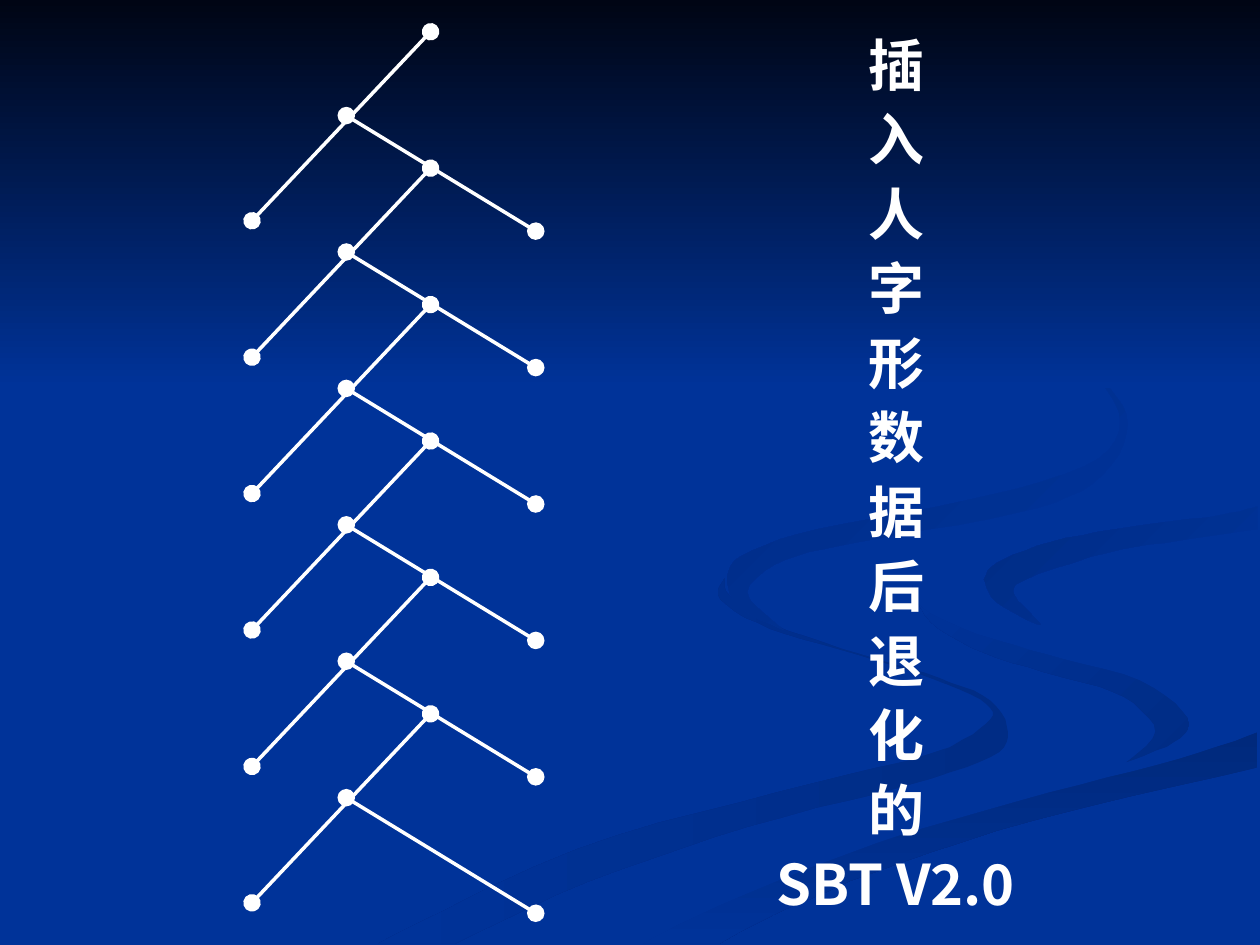
from dataclasses import dataclass
from itertools import chain

from lxml import etree
from pptx import Presentation
from pptx.dml.color import RGBColor
from pptx.enum.shapes import MSO_CONNECTOR, MSO_SHAPE
from pptx.enum.text import MSO_AUTO_SIZE, PP_ALIGN
from pptx.oxml.ns import qn
from pptx.util import Cm, Pt

STRAIGHT = MSO_CONNECTOR.STRAIGHT
RECTANGLE = MSO_SHAPE.RECTANGLE
CENTER = PP_ALIGN.CENTER
GROW = MSO_AUTO_SIZE.SHAPE_TO_FIT_TEXT

BLANK_LAYOUT = 6
SLIDE_WIDTH, SLIDE_HEIGHT = 25.4, 19.05
BAND_HEIGHT = 7.82
RIBBON_UNIT = Cm(0.0254)
CURVE_STEPS = 5

LEVELS = 6
LEVEL_STEP = 2.75
TREE_TOP = 0.64
LEFT_LEAF, FORK, SPINE, RIGHT_LEAF = 5.08, 6.98, 8.68, 10.8
FORK_DROP, LEFT_DROP, RIGHT_DROP = 1.69, 3.81, 4.02
CAPTION = [*"插入人字形数据后退化的", "SBT V2.0"]


@dataclass(frozen=True)
class Theme:
    background: str = "003399"
    night: str = "000514"
    shade: str = "002C85"
    deep_shade: str = "00297C"
    foreground: str = "FFFFFF"
    font: str = "Noto Sans CJK KR"
    caption_size: int = 32
    space_before: int = 8
    line_width: int = 2


@dataclass(frozen=True)
class Ribbon:
    near_edges: list
    far_edges: list
    colors: tuple
    angle: int = 0

    def outline(self):
        near = chain.from_iterable(map(smooth, self.near_edges))
        far = chain.from_iterable(map(smooth, self.far_edges))
        return [*near, *reversed(list(far))]


def spline(before, start, end, after, t):
    return (
        2 * start
        + (end - before) * t
        + (2 * before - 5 * start + 4 * end - after) * t**2
        + (3 * start - before - 3 * end + after) * t**3
    ) / 2


def smooth(knots):
    padded = [knots[0], *knots, knots[-1]]
    points = [
        tuple(round(spline(*values, step / CURVE_STEPS)) for values in zip(*window))
        for window in zip(padded, padded[1:], padded[2:], padded[3:])
        for step in range(CURVE_STEPS)
    ]
    return [*points, knots[-1]]


def make_ribbons(theme):
    wave_left = [(575, 459), (572, 476), (611, 499), (679, 519), (741, 539), (783, 559),
                 (783, 574), (739, 598), (616, 629), (458, 674), (300, 749)]
    wave_right = [(575, 459), (579, 473), (614, 496), (682, 519), (745, 538), (786, 556),
                  (800, 581), (786, 601), (721, 623), (594, 656), (466, 700), (361, 749)]
    fold_left = [(724, 464), (739, 494), (781, 518), (838, 536), (892, 553), (917, 581),
                 (894, 605)]
    fold_right = [(724, 464), (733, 483), (775, 503), (830, 519), (905, 540), (943, 570),
                  (932, 589), (894, 605)]
    stream_tail = [(894, 605), (743, 643), (663, 668), (573, 703), (477, 749)]
    stream_top = [(998, 581), (936, 602), (832, 629), (696, 669), (570, 719), (510, 749)]
    stream_bottom = [(998, 609), (821, 651), (695, 692), (614, 726), (571, 749)]
    inlet = [(781, 460), (804, 485), (866, 509), (941, 527), (998, 538)]
    crest_top = [(724, 464), (727, 454), (755, 432), (830, 415), (920, 401), (998, 387)]
    crest_middle = [(998, 402), (968, 409), (899, 418), (835, 430), (791, 447), (781, 460)]
    crest_bottom = [(998, 420), (936, 429), (878, 439), (816, 459), (805, 472), (826, 496),
                    (791, 478), (781, 460)]
    hook_outer = [(762, 233), (821, 261), (880, 307), (894, 344), (867, 384), (807, 407),
                  (683, 430), (624, 444), (593, 470), (622, 500)]
    hook_inner = [(762, 233), (805, 254), (862, 292), (889, 335), (861, 370), (763, 398),
                  (649, 420), (589, 441), (577, 462), (590, 484), (622, 500)]

    fade_out = (theme.shade, theme.background)
    fade_in = (theme.background, theme.shade)
    deep_fade = (theme.deep_shade, theme.background)
    plain = (theme.background,)
    return [
        Ribbon([wave_left], [wave_right], fade_out, 180),
        Ribbon([fold_left], [fold_right], fade_out, 225),
        Ribbon([stream_top], [stream_bottom], deep_fade, 90),
        Ribbon([fold_right, stream_tail], [crest_top, crest_middle, inlet, stream_top], plain),
        Ribbon([crest_middle], [crest_bottom], fade_in, 225),
        Ribbon([hook_outer], [hook_inner], fade_in, 225),
    ]


class SlideBuilder:
    def __init__(self, slide, theme):
        self.slide = slide
        self.theme = theme

    def background(self):
        fill = self.slide.background.fill
        fill.solid()
        fill.fore_color.rgb = RGBColor.from_string(self.theme.background)

    def paint(self, shape, colors, clockwise_angle):
        shape.shadow.inherit = False
        shape.line.fill.background()
        if len(colors) == 1:
            shape.fill.solid()
            shape.fill.fore_color.rgb = RGBColor.from_string(colors[0])
            return
        shape.fill.gradient()
        shape.fill.gradient_angle = 360 - clockwise_angle
        for stop, color in zip(shape.fill.gradient_stops, colors):
            stop.color.rgb = RGBColor.from_string(color)

    def ribbon(self, ribbon):
        start, *rest = ribbon.outline()
        freeform = self.slide.shapes.build_freeform(*start, scale=RIBBON_UNIT)
        freeform.add_line_segments(rest, close=True)
        self.paint(freeform.convert_to_shape(), ribbon.colors, ribbon.angle)

    def band(self, width, height):
        shape = self.slide.shapes.add_shape(RECTANGLE, 0, 0, Cm(width), Cm(height))
        self.paint(shape, (self.theme.night, self.theme.background), 90)

    def branch(self, start, end):
        ends = [Cm(value) for value in (*start, *end)]
        connector = self.slide.shapes.add_connector(STRAIGHT, *ends)
        connector.line.width = Pt(self.theme.line_width)
        connector.line.color.rgb = RGBColor.from_string(self.theme.foreground)
        properties = connector._element.spPr
        line = properties.find(qn("a:ln"))
        for tag in ("a:headEnd", "a:tailEnd"):
            etree.SubElement(line, qn(tag), type="oval", w="lg", len="lg")
        etree.SubElement(properties, qn("a:effectLst"))

    def caption(self, lines, left, top, width, height):
        box = self.slide.shapes.add_textbox(Cm(left), Cm(top), Cm(width), Cm(height))
        frame = box.text_frame
        frame.word_wrap = False
        frame.auto_size = GROW
        frame.text = "\n".join(lines)
        for paragraph in frame.paragraphs:
            paragraph.alignment = CENTER
            paragraph.line_spacing = 0.9
            paragraph.space_before = Pt(self.theme.space_before)
            font = paragraph.font
            font.size = Pt(self.theme.caption_size)
            font.bold = True
            font.name = self.theme.font
            font.color.rgb = RGBColor.from_string(self.theme.foreground)
            etree.SubElement(font._element, qn("a:ea"), typeface=self.theme.font)


def main():
    theme = Theme()
    presentation = Presentation()
    presentation.slide_width = Cm(SLIDE_WIDTH)
    presentation.slide_height = Cm(SLIDE_HEIGHT)
    slide = presentation.slides.add_slide(presentation.slide_layouts[BLANK_LAYOUT])
    builder = SlideBuilder(slide, theme)
    builder.background()
    for ribbon in make_ribbons(theme):
        builder.ribbon(ribbon)
    builder.band(SLIDE_WIDTH, BAND_HEIGHT)
    for level in range(LEVELS):
        top = TREE_TOP + level * LEVEL_STEP
        builder.branch((SPINE, top), (LEFT_LEAF, top + LEFT_DROP))
        builder.branch((FORK, top + FORK_DROP), (RIGHT_LEAF, top + RIGHT_DROP))
    builder.caption(CAPTION, 14, 0.64, 8.13, 18.01)
    presentation.save("out.pptx")


if __name__ == "__main__":
    main()
